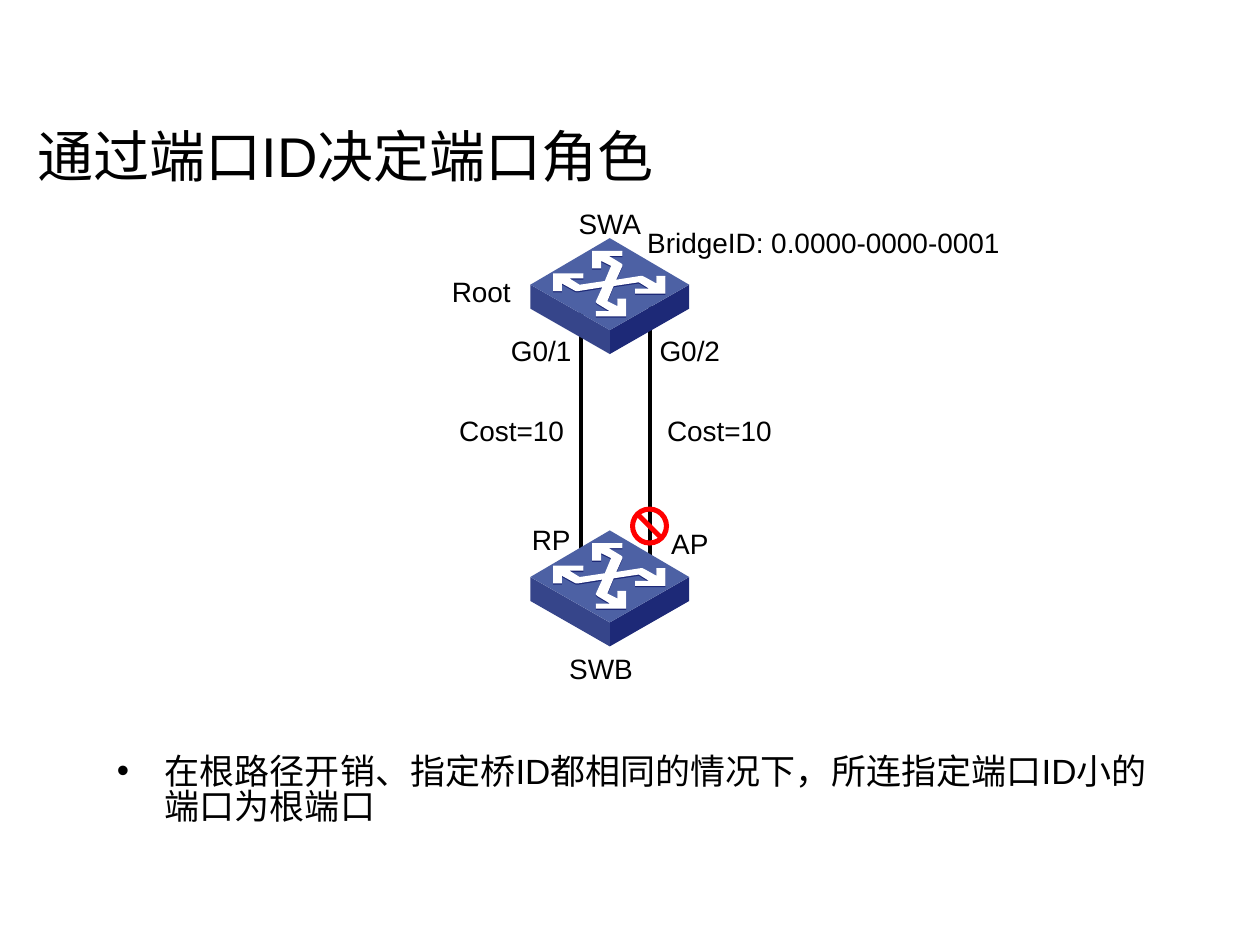
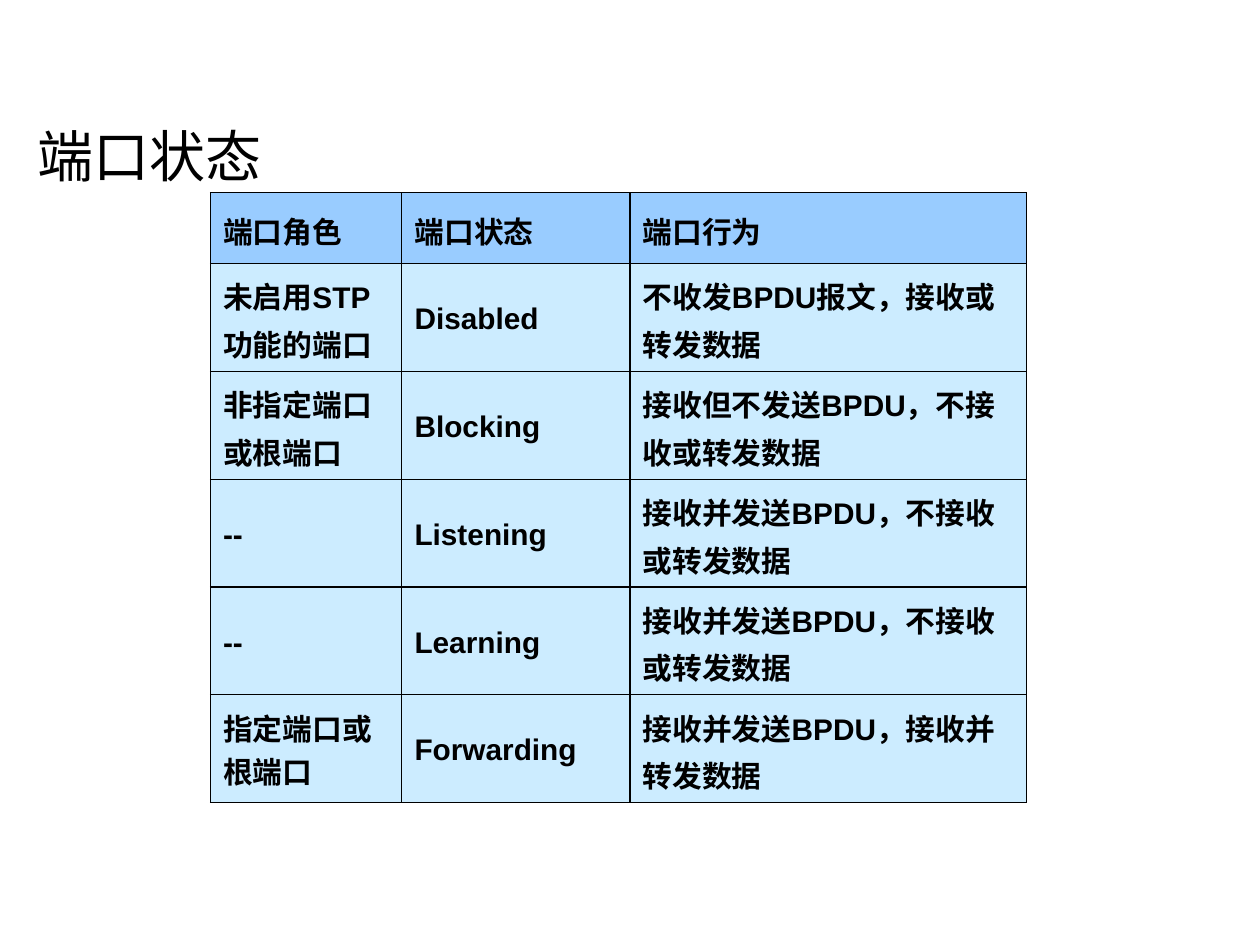
from lxml import etree
from pptx import Presentation
from pptx.dml.color import RGBColor
from pptx.enum.shapes import MSO_CONNECTOR, MSO_SHAPE
from pptx.enum.text import MSO_ANCHOR, MSO_AUTO_SIZE, PP_ALIGN
from pptx.oxml.ns import qn
from pptx.util import Emu, Pt

PX = 9144  # 100 px to the inch
STRAIGHT = MSO_CONNECTOR.STRAIGHT
NO_SYMBOL = MSO_SHAPE.NO_SYMBOL
MIDDLE = MSO_ANCHOR.MIDDLE
TOP = MSO_ANCHOR.TOP
GROW = MSO_AUTO_SIZE.SHAPE_TO_FIT_TEXT
FIXED = MSO_AUTO_SIZE.NONE
CENTER = PP_ALIGN.CENTER
LEFT = PP_ALIGN.LEFT

COLORS = {
    "text": "000000",
    "switch_top": "4D61A4",
    "switch_left": "36458A",
    "switch_right": "1D2977",
    "arrows": "FFFFFF",
    "blocked": "FF0000",
    "header": "99CCFF",
    "row": "CCECFF",
}

TITLE = {
    "font": {"size": Pt(32)},
    "frame": {"vertical_anchor": MIDDLE, "auto_size": FIXED},
    "paragraph": {"alignment": LEFT},
}
LABEL = {
    "font": {"size": Pt(16)},
    "frame": {"vertical_anchor": TOP, "auto_size": GROW},
    "paragraph": {"alignment": CENTER},
}
BODY = {
    "font": {"size": Pt(20)},
    "frame": {"vertical_anchor": TOP, "auto_size": FIXED},
    "paragraph": {"alignment": LEFT, "line_spacing": 0.83},
}
CELL_FONT = {"size": Pt(17), "bold": True}

LABEL_HEIGHT = 37
LABELS = [  # text, left, top, width
    ("SWA", 413, 159, 142),
    ("SWB", 406, 512, 142),
    ("Root", 311, 213, 142),
    ("G0/1", 390, 260, 79),
    ("G0/2", 508, 260, 79),
    ("RP", 398, 410, 79),
    ("AP", 508, 413, 79),
    ("Cost=10", 335, 323, 142),
    ("Cost=10", 500, 323, 142),
    ("BridgeID: 0.0000-0000-0001", 484, 174, 339),
]

SWITCH_LEFT = 421
SWITCH_TOPS = [189, 421]
SWITCH_FACES = {
    "switch_right": [(126, 37), (126, 56), (63, 92), (63, 73)],
    "switch_left": [(63, 73), (63, 92), (0, 56), (0, 37)],
    "switch_top": [(126, 37), (63, 73), (0, 37), (63, 0)],
}
HALF_ARROWS = [
    (107, 30), (100, 30), (100, 36), (91, 31), (89, 30), (87, 30),
    (68, 33), (73, 22), (73, 21), (72, 20), (62, 14), (73, 14),
    (73, 10), (49, 10), (49, 24), (56, 24), (56, 18), (64, 22),
    (59, 34), (39, 37), (31, 32), (42, 32), (42, 28), (18, 28),
]
# The second half is the first one turned by 180 degrees.
ARROWS = HALF_ARROWS + [(125 - x, 72 - y) for x, y in HALF_ARROWS]

COLUMN_WIDTHS = [152, 181, 315]
ROW_HEIGHTS = [56] + [73] * 5
PORT_STATES = [
    ("端口角色", "端口状态", "端口行为"),
    ("未启用STP功能的端口", "Disabled", "不收发BPDU报文，接收或转发数据"),
    ("非指定端口或根端口", "Blocking", "接收但不发送BPDU，不接收或转发数据"),
    ("--", "Listening", "接收并发送BPDU，不接收或转发数据"),
    ("--", "Learning", "接收并发送BPDU，不接收或转发数据"),
    ("指定端口或根端口", "Forwarding", "接收并发送BPDU，接收并转发数据"),
]


def emu(*lengths):
    return [Emu(length * PX) for length in lengths]


def color(name):
    return RGBColor.from_string(COLORS[name])


def set_attributes(target, values):
    for name, value in values.items():
        setattr(target, name, value)


def write(paragraph, text, font_values):
    run = paragraph.add_run()
    run.text = text
    set_attributes(run.font, {"name": "Arial", **font_values})
    run.font.color.rgb = color("text")


def paint(shape, color_name):
    shape.fill.solid()
    shape.fill.fore_color.rgb = color(color_name)
    shape.line.fill.background()
    shape.shadow.inherit = False


def add_text(slide, text, box, style):
    frame = slide.shapes.add_textbox(*emu(*box)).text_frame
    set_attributes(frame, {"word_wrap": True, **style["frame"]})
    paragraph = frame.paragraphs[0]
    set_attributes(paragraph, style["paragraph"])
    write(paragraph, text, style["font"])
    return paragraph


def add_title(slide, text):
    add_text(slide, text, (20, 99, 764, 48), TITLE)


def add_bullet_text(slide, text, box):
    properties = add_text(slide, text, box, BODY)._p.get_or_add_pPr()
    properties.set("marL", str(38 * PX))
    properties.set("indent", str(-38 * PX))
    etree.SubElement(properties, qn("a:buFont"), typeface="Arial")
    etree.SubElement(properties, qn("a:buChar"), char="•")


def add_link(slide, x, top, bottom):
    link = slide.shapes.add_connector(STRAIGHT, *emu(x, top, x, bottom))
    link.line.color.rgb = color("text")
    link.line.width = Pt(2.25)
    etree.SubElement(link._element.spPr, qn("a:effectLst"))


def add_outline(group, points, left, top, color_name):
    placed = [(left + x, top + y) for x, y in points]
    builder = group.shapes.build_freeform(*placed[0], scale=PX)
    builder.add_line_segments(placed[1:], close=True)
    paint(builder.convert_to_shape(), color_name)


def add_switch(slide, left, top):
    """Add a switch icon: a flat box with crossed arrows and their shade."""
    group = slide.shapes.add_group_shape()
    for color_name, points in SWITCH_FACES.items():
        add_outline(group, points, left, top, color_name)
    add_outline(group, ARROWS, left, top + 1, "switch_right")
    add_outline(group, ARROWS, left, top, "arrows")


def add_blocked_sign(slide, box):
    sign = slide.shapes.add_shape(NO_SYMBOL, *emu(*box))
    sign.adjustments[0] = 0.13
    paint(sign, "blocked")


def add_borders(cell):
    properties = cell._tc.get_or_add_tcPr()
    for side in ("lnL", "lnR", "lnT", "lnB"):
        line = etree.SubElement(properties, qn(f"a:{side}"), w=str(Pt(0.75)))
        fill = etree.SubElement(line, qn("a:solidFill"))
        etree.SubElement(fill, qn("a:srgbClr"), val=COLORS["text"])


def fill_cell(cell, text, color_name, line_spacing):
    add_borders(cell)
    cell.fill.solid()
    cell.fill.fore_color.rgb = color(color_name)
    cell.vertical_anchor = MIDDLE
    paragraph = cell.text_frame.paragraphs[0]
    paragraph.line_spacing = line_spacing
    write(paragraph, text, CELL_FONT)


def add_state_table(slide, left, top):
    size = (sum(COLUMN_WIDTHS), sum(ROW_HEIGHTS))
    table = slide.shapes.add_table(
        len(PORT_STATES), len(COLUMN_WIDTHS), *emu(left, top, *size)
    ).table
    set_attributes(table, {"first_row": False, "horz_banding": False})
    for column, width in zip(table.columns, emu(*COLUMN_WIDTHS)):
        column.width = width
    for row, height in zip(table.rows, emu(*ROW_HEIGHTS)):
        row.height = height
    last_row = len(PORT_STATES) - 1
    for i, texts in enumerate(PORT_STATES):
        for j, text in enumerate(texts):
            spacing = 1.0 if (i, j) == (last_row, 0) else 1.1
            fill_cell(table.cell(i, j), text, "row" if i else "header", spacing)


def build_port_role_slide(slide):
    add_title(slide, "通过端口ID决定端口角色")
    add_link(slide, 461, 245, 457)
    add_link(slide, 516, 237, 449)
    for top in SWITCH_TOPS:
        add_switch(slide, SWITCH_LEFT, top)
    add_blocked_sign(slide, (500, 402, 31, 31))
    for text, left, top, width in LABELS:
        add_text(slide, text, (left, top, width, LABEL_HEIGHT), LABEL)
    add_bullet_text(
        slide,
        "在根路径开销、指定桥ID都相同的情况下，所连指定端口ID小的端口为根端口",
        (83, 596, 843, 83),
    )


def build_port_state_slide(slide):
    add_title(slide, "端口状态")
    add_state_table(slide, 167, 153)


def main():
    presentation = Presentation()
    presentation.slide_width, presentation.slide_height = emu(1000, 750)
    blank = presentation.slide_layouts[6]
    for build in (build_port_role_slide, build_port_state_slide):
        build(presentation.slides.add_slide(blank))
    presentation.save("out.pptx")


if __name__ == "__main__":
    main()
